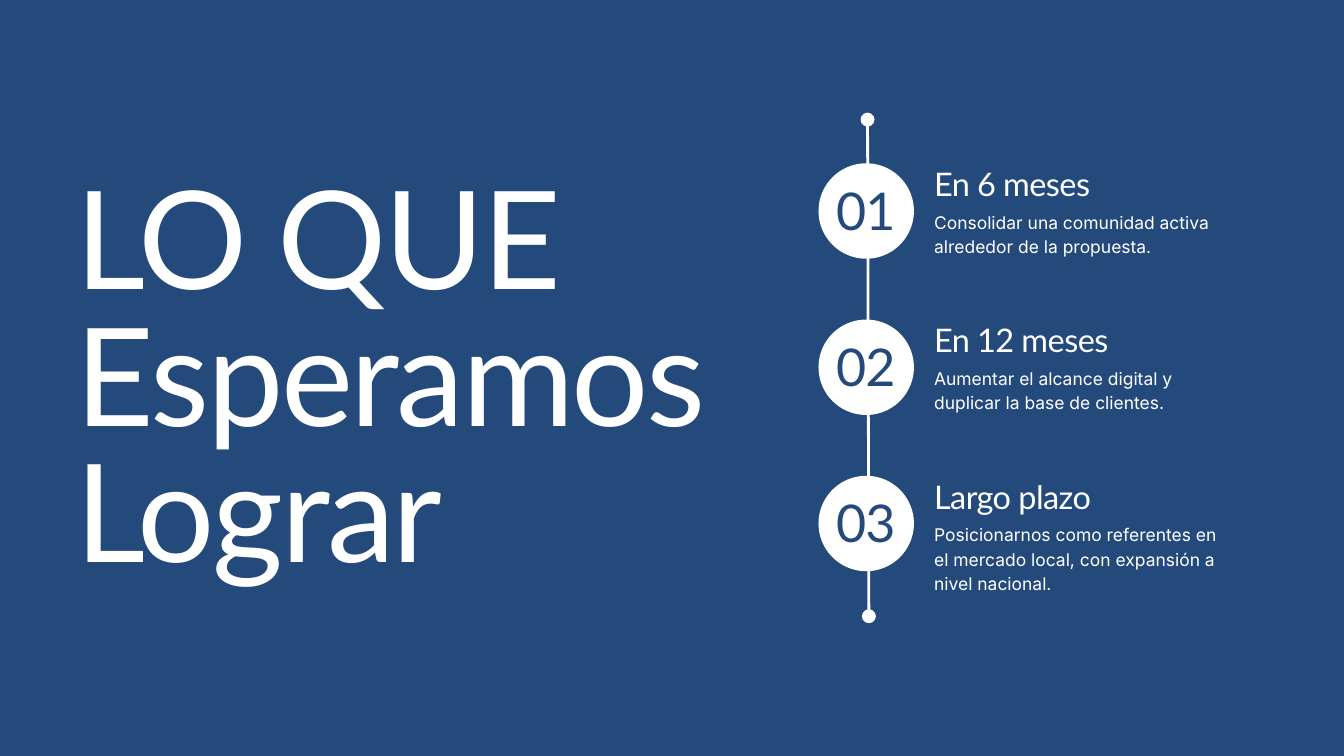
import pptx
import pptx.util
import pptx.dml.color
import pptx.enum.shapes
import pptx.enum.text
import pptx.oxml.ns
import lxml.etree

qn = pptx.oxml.ns.qn
ALIGN = pptx.enum.text.PP_ALIGN
BLUE = pptx.dml.color.RGBColor.from_string("24497B")
WHITE = pptx.dml.color.RGBColor.from_string("FFFFFF")

theme = {
    "background": BLUE,
    "line": WHITE,
    "title": {"font": "Lato", "size": 146.2, "leading": 146.2, "spacing": -260, "color": WHITE},
    "number": {"font": "Lato", "size": 55.7, "leading": 55.7, "spacing": -100, "color": BLUE},
    "heading": {"font": "Lato", "size": 34.8, "leading": 34.8, "spacing": -60, "color": WHITE},
    "body": {"font": "Inter", "size": 18.7, "leading": 26.1, "spacing": 0, "color": WHITE},
}

prs = pptx.Presentation()
prs.slide_width = pptx.util.Inches(20)
prs.slide_height = pptx.util.Inches(11.25)
col = prs.slide_width / 200
row = prs.slide_height / 112.5


def place(x, y, w, h):
    return round(x * col), round(y * row), round(w * col), round(h * row)


def write(sp, text, style, align=ALIGN.LEFT):
    look = theme[style]
    tf = sp.text_frame
    tf.word_wrap = True
    tf.auto_size = pptx.enum.text.MSO_AUTO_SIZE.NONE
    tf.vertical_anchor = pptx.enum.text.MSO_ANCHOR.TOP
    tf.margin_left = tf.margin_top = tf.margin_right = tf.margin_bottom = 0
    p = tf.paragraphs[0]
    p.text = text
    p.alignment = align
    p.space_before = pptx.util.Pt(0)
    p.line_spacing = pptx.util.Pt(look["leading"])
    p.font.name = look["font"]
    p.font.size = pptx.util.Pt(look["size"])
    p.font.color.rgb = look["color"]
    p._p.pPr.find(qn("a:defRPr")).set("spc", str(look["spacing"]))


s = prs.slides.add_slide(prs.slide_layouts[5])
s.background.fill.solid()
s.background.fill.fore_color.rgb = theme["background"]

title = s.shapes.title
title.left, title.top, title.width, title.height = place(11.2, 26.9, 98.9, 61.7)
write(title, "LO QUE Esperamos Lograr", "title")

x1, y1, x2, y2 = place(129.3, 91.7, 129.1, 17.8)
timeline = s.shapes.add_connector(pptx.enum.shapes.MSO_CONNECTOR.STRAIGHT, x1, y1, x2, y2)
timeline.line.color.rgb = theme["line"]
timeline.line.width = pptx.util.Pt(3)
ln = timeline.line._get_or_add_ln()
for end in ("a:headEnd", "a:tailEnd"):
    lxml.etree.SubElement(ln, qn(end), type="oval", w="lg", len="lg")
lxml.etree.SubElement(timeline._element.spPr, qn("a:effectLst"))

goals = [
    ("En 6 meses", "Consolidar una comunidad activa alrededor de la propuesta.", 2),
    ("En 12 meses", "Aumentar el alcance digital y duplicar la base de clientes.", 2),
    ("Largo plazo", "Posicionarnos como referentes en el mercado local, con expansión a nivel nacional.", 3),
]
for i, (heading, body, lines) in enumerate(goals):
    top = 24.3 + 23.25 * i
    circle = s.shapes.add_shape(pptx.enum.shapes.MSO_SHAPE.OVAL, *place(121.8, top, 14.2, 14.2))
    circle.shadow.inherit = False
    circle.fill.solid()
    circle.fill.fore_color.rgb = theme["line"]
    circle.line.fill.background()
    write(s.shapes.add_textbox(*place(139, top + 1.1, 38.4, 5)), heading, "heading")
    write(s.shapes.add_textbox(*place(139, top + 6.7, 42.5, 3.55 * lines)), body, "body")
    write(s.shapes.add_textbox(*place(123.3, top + 3.8, 11.1, 8)), f"{i + 1:02d}", "number", ALIGN.CENTER)

prs.save("out.pptx")
